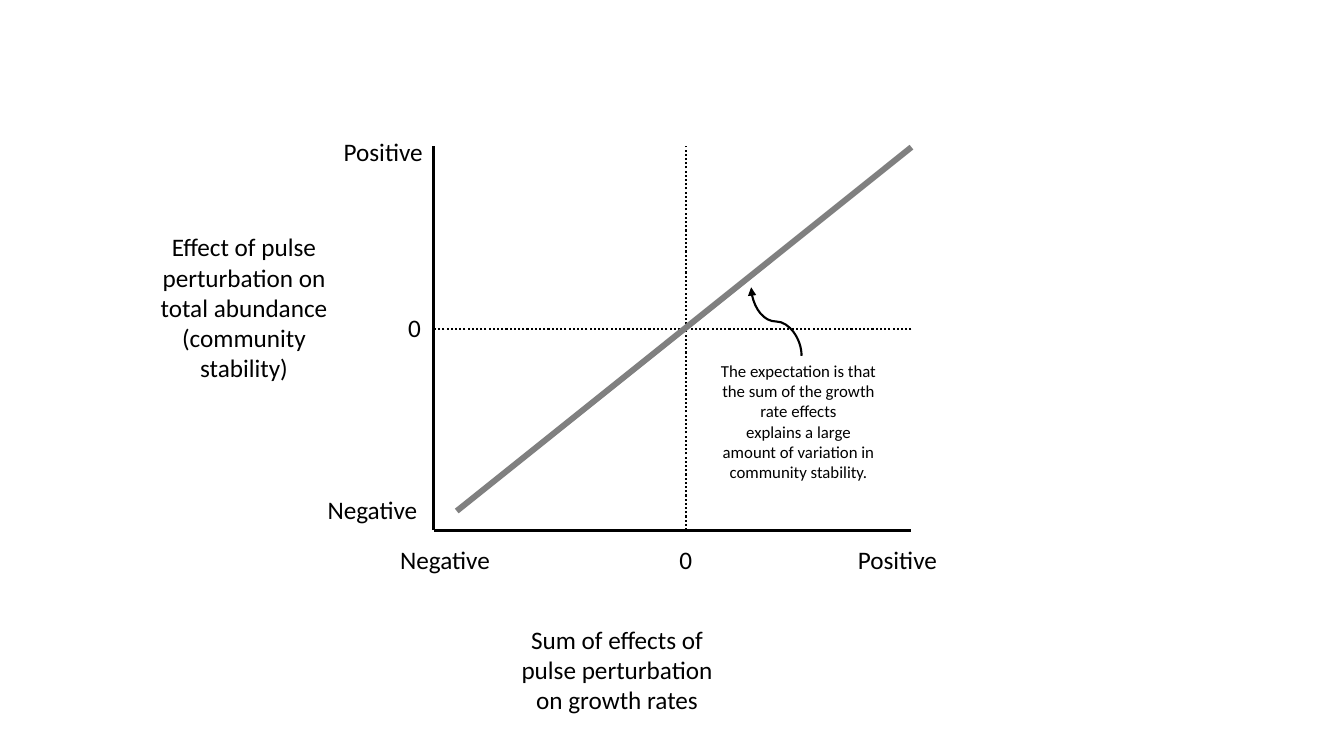
from pptx import Presentation
from pptx.dml.color import RGBColor
from pptx.enum.dml import MSO_LINE as Dash
from pptx.enum.shapes import MSO_CONNECTOR as Conn
from pptx.enum.text import MSO_AUTO_SIZE as Auto, PP_ALIGN as Align
from pptx.util import Pt
from lxml.etree import SubElement
from pptx.oxml.ns import qn

PX = 9144  # 100 px to the inch
BLACK = RGBColor(0, 0, 0)
GRAY = RGBColor(0x80, 0x80, 0x80)

deck = Presentation()
deck.slide_width, deck.slide_height = 1333 * PX, 750 * PX
slide = deck.slides.add_slide(deck.slide_layouts[6])


def write(text, box, size=18, align=Align.LEFT, wrap=True):
    frame = slide.shapes.add_textbox(*[n * PX for n in box]).text_frame
    frame.word_wrap = wrap
    frame.auto_size = Auto.SHAPE_TO_FIT_TEXT
    frame.text = text
    for para in frame.paragraphs:
        para.alignment = align
        para.font.name = "Calibri"
        para.font.size = Pt(size)
        para.font.color.rgb = BLACK


def draw(ends, width, color=BLACK, dash=None, kind=Conn.STRAIGHT):
    link = slide.shapes.add_connector(kind, *[n * PX for n in ends])
    link.line.width = Pt(width)
    link.line.color.rgb = color
    if dash:
        link.line.dash_style = dash
    SubElement(link._element.spPr, qn("a:effectLst"))
    return link


# Axes and dotted zero lines
left, right, top, base = 430, 904, 145, 526
zero_x, zero_y = 680, 326
draw((left, base, right, base), 2.25)
draw((left, base, left, top), 2.25)
draw((zero_x, base, zero_x, top), 1.5, dash=Dash.ROUND_DOT)
draw((right, zero_y, left, zero_y), 1.5, dash=Dash.ROUND_DOT)

# Axis titles
write("Effect of pulse perturbation on total abundance (community stability)",
      (138, 225, 208, 162), align=Align.CENTER)
write("Sum of effects of pulse perturbation on growth rates",
      (496, 614, 232, 101), align=Align.CENTER)

# Axis labels: x axis, then y axis
for text, x, y, wide in [
    ("Negative", 387, 535, 132), ("0", 664, 535, 33), ("Positive", 841, 535, 106),
    ("Negative", 315, 485, 132), ("0", 395, 305, 33), ("Positive", 331, 130, 106),
]:
    write(text, (x, y, wide, 40), wrap=text != "0")

# Expected trend
draw((453, 507, right, 146), 4.25, GRAY)

# Note and its curved arrow, turned to leave the note upwards
write("The expectation is that the sum of the growth rate effects\n"
      "explains a large amount of variation in community stability.",
      (705, 353, 174, 131), size=12, align=Align.CENTER)
arrow = draw((736, 344, 804, 294), 1.5, kind=Conn.CURVE)
arrow._element.spPr.find(qn("a:xfrm")).set("rot", str(270 * 60000))
SubElement(arrow.line._get_or_add_ln(), qn("a:tailEnd"), type="triangle")

deck.save("out.pptx")
